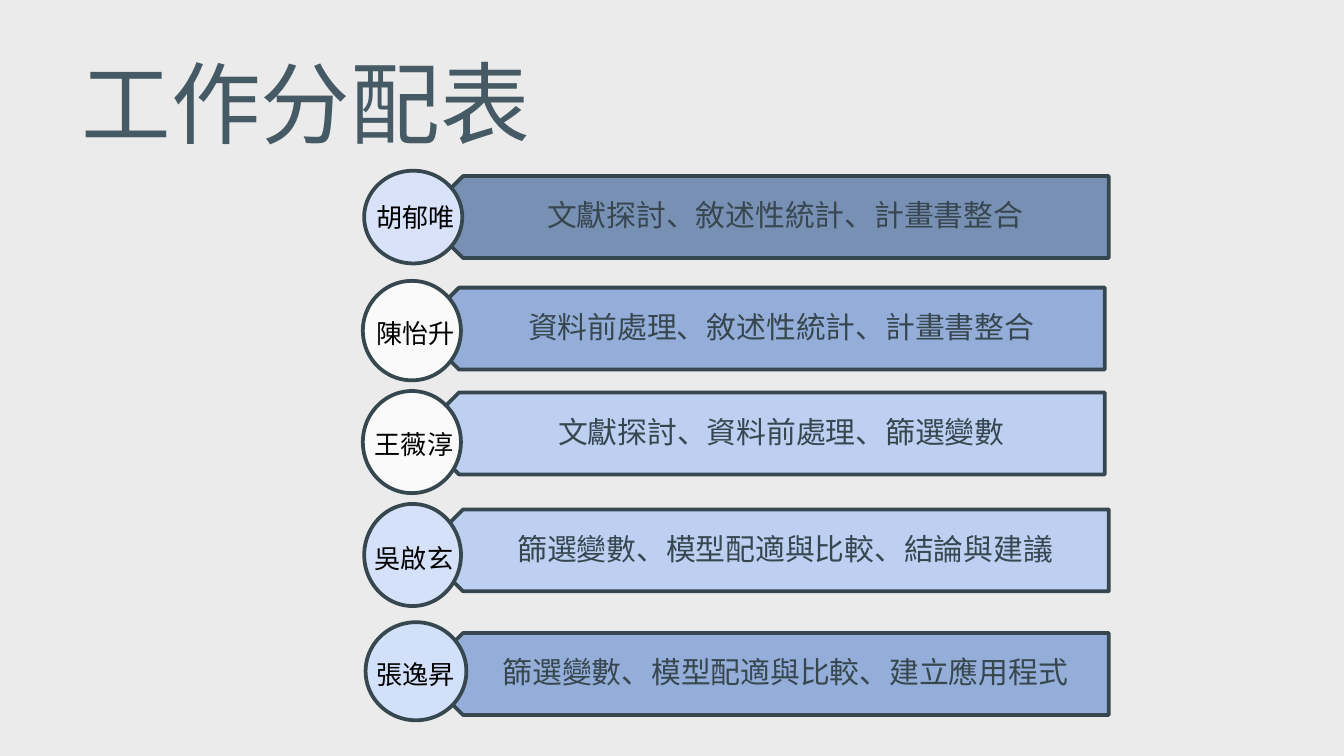
import pptx
import pptx.dml.color
import pptx.enum.shapes
import pptx.enum.text
import pptx.oxml
import pptx.util

Inches = pptx.util.Inches
CJK = "Noto Sans CJK SC"
INK = "37474F"
BAR_WIDTH, BAR_HEIGHT = 5.11, 0.61
ANCHOR = pptx.enum.text.MSO_ANCHOR
ALIGN = pptx.enum.text.PP_ALIGN
SHAPE = pptx.enum.shapes.MSO_SHAPE

# name, duty as (text, font) spans, bar (left, top, fill), circle (box, fill), name position
MEMBERS = [
    ("胡郁唯", [("文獻探討、敘述性統計、計畫書整合", CJK)],
     (3.14, 1.31, "7990B5"), ((2.71, 1.27, 0.73, 0.69), "D8E3FA"), (2.7, 1.45)),
    ("陳怡升", [("資料前處理、敘述性統計、計畫書整合", CJK)],
     (3.11, 2.14, "95AED9"), ((2.7, 2.09, 0.73, 0.74), "FAFAFA"), (2.7, 2.31)),
    ("王薇淳", [("文獻探討、資料前處理、篩選變數", CJK)],
     (3.11, 2.92, "BDD0F2"), ((2.7, 2.91, 0.73, 0.76), "FAFAFA"), (2.69, 3.14)),
    ("吳啟玄", [("篩選變數、模型配適與比較、結論與建議", CJK)],
     (3.14, 3.79, "BDD0F2"), ((2.71, 3.75, 0.72, 0.76), "D4E1F9"), (2.69, 3.99)),
    ("張逸昇", [("篩選變數、", "Arial"), ("模型配適與比較、建立應用程式", CJK)],
     (3.14, 4.71, "95AED9"), ((2.72, 4.63, 0.75, 0.73), "D3E0F9"), (2.7, 4.85)),
]


def color(value):
    return pptx.dml.color.RGBColor.from_string(value)


def add_text(page, box, spans, size, fill, margins=(0.1, 0.05, 0.1, 0.05),
             anchor=ANCHOR.TOP, align=ALIGN.LEFT, spacing=1.0):
    frame = page.shapes.add_textbox(*map(Inches, box)).text_frame
    frame.word_wrap = True
    frame.vertical_anchor = anchor
    (frame.margin_left, frame.margin_top,
     frame.margin_right, frame.margin_bottom) = map(Inches, margins)
    para = frame.paragraphs[0]
    para.alignment = align
    para.line_spacing = spacing
    for words, font in spans:
        span = para.add_run()
        span.text = words
        span.font.size = pptx.util.Pt(size)
        span.font.name = font
        span.font.color.rgb = color(fill)
        # East Asian glyphs take their own typeface entry
        east_asian = pptx.oxml.parse_xml(
            '<a:ea xmlns:a="http://schemas.openxmlformats.org/drawingml/2006/main" '
            f'typeface="{font}"/>')
        span.font._element.append(east_asian)


def add_outlined(page, kind, box, fill):
    shape = page.shapes.add_shape(kind, *map(Inches, box))
    shape.shadow.inherit = False
    shape.fill.solid()
    shape.fill.fore_color.rgb = color(fill)
    shape.line.color.rgb = color(INK)
    shape.line.width = pptx.util.Pt(2)
    return shape


def add_title(page, box):
    add_text(page, box, [("工作分配表", CJK)], 48, "455A64",
             margins=(0.1,) * 4, anchor=ANCHOR.BOTTOM, spacing=1.15)


def add_member(page, name, duty, bar, circle, name_place):
    left, top, fill = bar
    # Duty bar pointing left, with upright text over it
    plate = add_outlined(page, SHAPE.PENTAGON, (left, top, BAR_WIDTH, BAR_HEIGHT), fill)
    plate.rotation = 180
    add_text(page, (left + 0.15, top, BAR_WIDTH - 0.15, BAR_HEIGHT), duty, 16, INK,
             margins=(0.27, 0.07, 0.12, 0.07), anchor=ANCHOR.MIDDLE,
             align=ALIGN.CENTER, spacing=0.9)
    # Name circle
    add_outlined(page, SHAPE.OVAL, *circle)
    add_text(page, (*name_place, 0.86, 0.34), [(name, "Arial")], 14, "000000")


def main():
    deck = pptx.Presentation()
    # Widescreen page, 16:9
    deck.slide_width = Inches(10)
    deck.slide_height = Inches(10 * 9 / 16)
    page = deck.slides.add_slide(deck.slide_layouts[6])
    page.background.fill.solid()
    page.background.fill.fore_color.rgb = color("EBEBEB")
    add_title(page, (0.51, 0.41, 4.27, 0.85))
    for member in MEMBERS:
        add_member(page, *member)
    deck.save("out.pptx")


if __name__ == "__main__":
    main()
